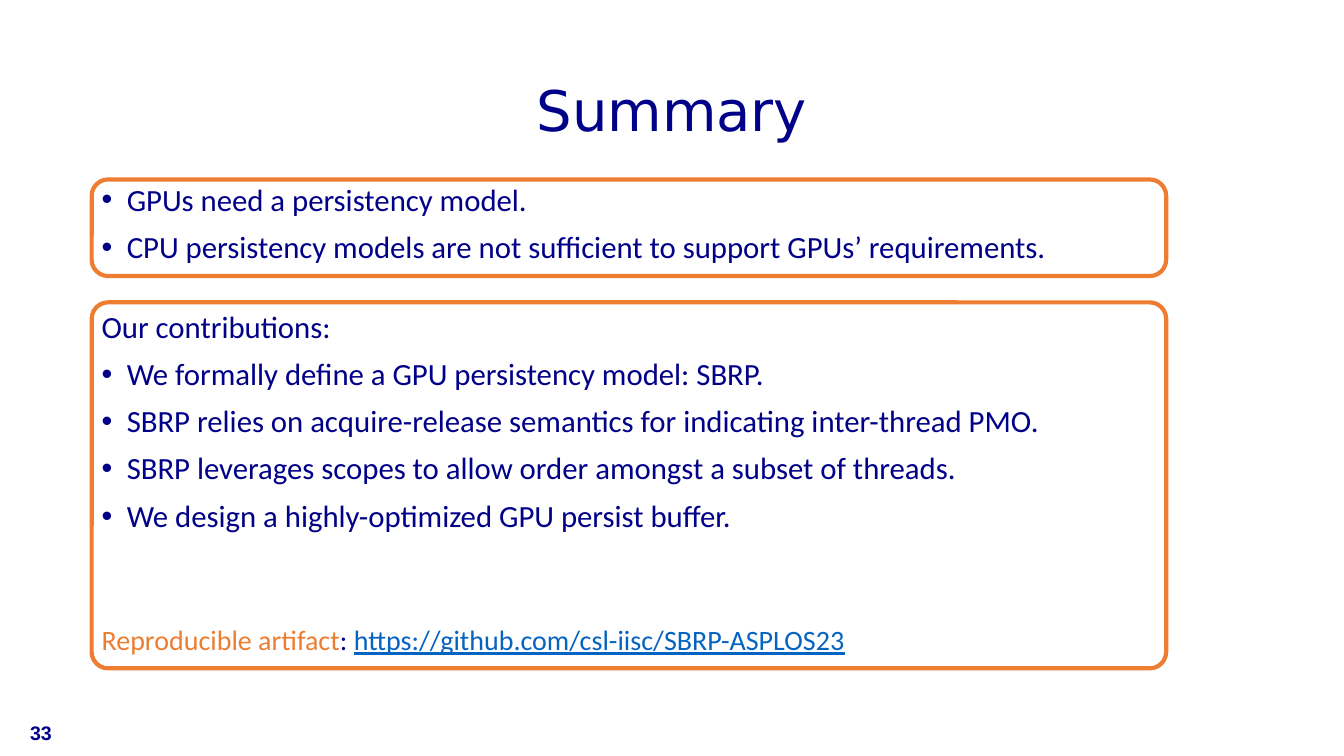
from lxml.etree import SubElement
from pptx import Presentation
from pptx.dml.color import RGBColor
from pptx.enum.shapes import MSO_SHAPE
from pptx.enum.text import MSO_ANCHOR, PP_ALIGN
from pptx.oxml.ns import qn
from pptx.util import Pt

NAVY = RGBColor(0x00, 0x00, 0x88)
ORANGE = RGBColor(0xED, 0x7D, 0x31)
LINK_BLUE = RGBColor(0x05, 0x63, 0xC1)

LEFT = 65.5
TEXT_WIDTH = 828
FRAME_WIDTH = 767.5
FRAME_RADIUS = 11.7
INDENT = 18

TITLE = {"name": "DejaVu Sans", "size": Pt(40)}
BODY = {"name": "Calibri", "size": Pt(22)}
ARTIFACT = {"name": "Calibri", "size": Pt(20)}
PAGE_NUMBER = {"name": "Arial", "size": Pt(14), "bold": True}

NEEDS = [
    "GPUs need a persistency model.",
    "CPU persistency models are not sufficient to support GPUs’ requirements.",
]
CONTRIBUTIONS = [
    "We formally define a GPU persistency model: SBRP.",
    "SBRP relies on acquire-release semantics for indicating inter-thread PMO.",
    "SBRP leverages scopes to allow order amongst a subset of threads.",
    "We design a highly-optimized GPU persist buffer.",
]
ARTIFACT_RUNS = [
    ("Reproducible artifact", ORANGE, False),
    (": ", NAVY, False),
    ("https://github.com/csl-iisc/SBRP-ASPLOS23", LINK_BLUE, True),
]


def apply_format(target, values):
    for name, value in values.items():
        setattr(target, name, value)


def add_text_box(slide, left, top, width, height, anchor=MSO_ANCHOR.TOP):
    shape = slide.shapes.add_textbox(Pt(left), Pt(top), Pt(width), Pt(height))
    apply_format(shape.text_frame, {"word_wrap": True, "vertical_anchor": anchor})
    return shape.text_frame


def add_paragraph(frame, runs, font, space_before=10, bullet=False, align=PP_ALIGN.LEFT):
    first = frame.paragraphs[0]
    is_first = not first.runs
    paragraph = first if is_first else frame.add_paragraph()
    if bullet:
        add_bullet(paragraph)
    apply_format(paragraph, {
        "alignment": align,
        "line_spacing": 0.9,
        "space_before": Pt(0 if is_first else space_before),
    })
    for text, color, underline in runs:
        run = paragraph.add_run()
        run.text = text
        apply_format(run.font, {**font, "underline": underline})
        run.font.color.rgb = color


def add_bullet(paragraph):
    properties = paragraph._p.get_or_add_pPr()
    properties.set("marL", str(Pt(INDENT)))
    properties.set("indent", str(Pt(-INDENT)))
    SubElement(properties, qn("a:buFont"), typeface="Arial")
    SubElement(properties, qn("a:buChar"), char="•")


def add_bullets(frame, lines):
    for line in lines:
        add_paragraph(frame, [(line, NAVY, False)], BODY, bullet=True)


def add_frame(slide, top, height):
    shape = slide.shapes.add_shape(
        MSO_SHAPE.ROUNDED_RECTANGLE, Pt(LEFT), Pt(top), Pt(FRAME_WIDTH), Pt(height))
    shape.adjustments[0] = FRAME_RADIUS / height
    shape.shadow.inherit = False
    shape.fill.background()
    shape.line.color.rgb = ORANGE
    shape.line.width = Pt(3)


def main():
    presentation = Presentation()
    apply_format(presentation, {"slide_width": Pt(960), "slide_height": Pt(540)})
    slide = presentation.slides.add_slide(presentation.slide_layouts[6])

    title = add_text_box(slide, 66, 28.75, TEXT_WIDTH, 104.4, MSO_ANCHOR.MIDDLE)
    add_paragraph(title, [("Summary", NAVY, False)], TITLE, align=PP_ALIGN.CENTER)

    needs = add_text_box(slide, LEFT, 128.2, TEXT_WIDTH, 69)
    add_bullets(needs, NEEDS)

    number = add_text_box(slide, 14.4, 510, 216, 28.8, MSO_ANCHOR.MIDDLE)
    add_paragraph(number, [("33", NAVY, False)], PAGE_NUMBER)

    contributions = add_text_box(slide, LEFT, 219, TEXT_WIDTH, 261.4)
    add_paragraph(contributions, [("Our contributions:", NAVY, False)], BODY)
    add_bullets(contributions, CONTRIBUTIONS)
    add_paragraph(contributions, ARTIFACT_RUNS, ARTIFACT, space_before=66)

    for top, height in [(128.2, 69), (216, 261.4)]:
        add_frame(slide, top, height)

    presentation.save("out.pptx")


if __name__ == "__main__":
    main()
